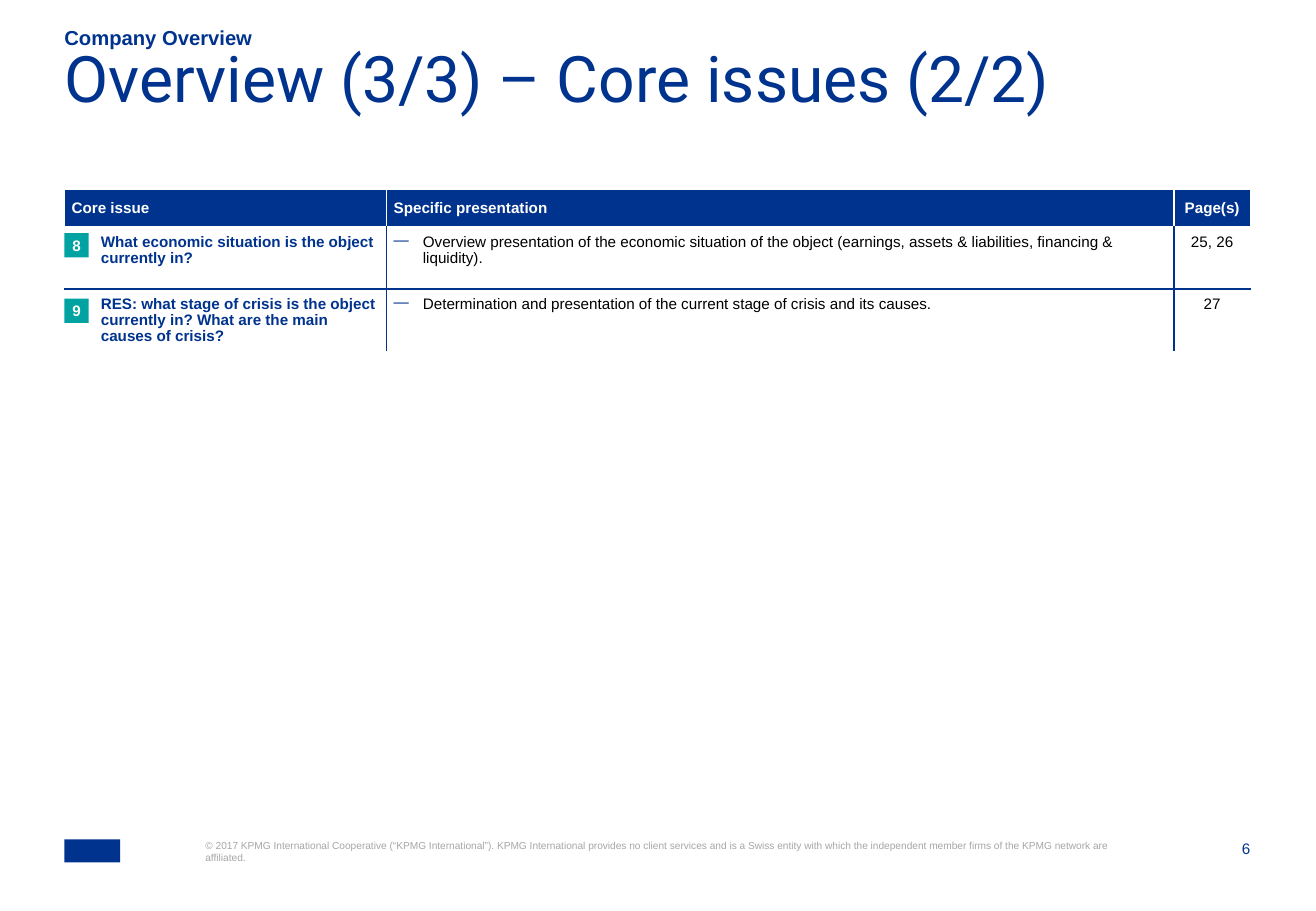
from pptx import Presentation
from pptx.dml.color import RGBColor
from pptx.enum.shapes import MSO_SHAPE as Shape
from pptx.enum.text import MSO_ANCHOR as Anchor, MSO_AUTO_SIZE as AutoSize, PP_ALIGN as Align
from pptx.oxml.ns import qn
from pptx.util import Pt
from lxml.etree import SubElement

PX = 9144
NAVY = RGBColor(0x00, 0x33, 0x8D)
TEAL = RGBColor(0x00, 0xA3, 0xA1)
GREY = RGBColor(0xA6, 0xA6, 0xA6)
WHITE = RGBColor(0xFF, 0xFF, 0xFF)
BLACK = RGBColor(0x00, 0x00, 0x00)

COLUMNS = [265, 648, 63]
ROWS = [31, 51, 47]
HEADINGS = ["Core issue", "Specific presentation", "Page(s)"]
ISSUES = [
    ("8", "What economic situation is the object currently in?",
     "Overview presentation of the economic situation of the object "
     "(earnings, assets & liabilities, financing & liquidity).", "25, 26"),
    ("9", "RES: what stage of crisis is the object currently in? "
     "What are the main causes of crisis?",
     "Determination and presentation of the current stage of crisis and its causes.", "27"),
]
BADGE_TOPS = [36, 90]


def emu(*lengths):
    return [length * PX for length in lengths]


def write(frame, text, size, color, bold=False, align=Align.LEFT,
          anchor=Anchor.TOP, face="Arial"):
    frame.word_wrap = True
    frame.auto_size = AutoSize.NONE
    frame.vertical_anchor = anchor
    frame.margin_left = frame.margin_top = frame.margin_right = frame.margin_bottom = 0
    style(frame.paragraphs[0], text, size, color, bold, align, face)


def style(paragraph, text, size, color, bold, align, face="Arial"):
    paragraph.text = text
    paragraph.alignment = align
    font = paragraph.font
    font.name, font.size, font.bold = face, Pt(size), bold
    font.color.rgb = color


def add_block(slide, box, color):
    block = slide.shapes.add_shape(Shape.RECTANGLE, *emu(*box))
    block.shadow.inherit = False
    block.fill.solid()
    block.fill.fore_color.rgb = color
    block.line.fill.background()
    return block


def add_heading(slide, left, top, width):
    kicker = slide.shapes.add_textbox(*emu(left, top, width, 19))
    write(kicker.text_frame, "Company Overview", 12, NAVY, True, anchor=Anchor.BOTTOM)
    title = slide.shapes.title
    title.left, title.top, title.width, title.height = emu(left, top + 27, width, 79)
    write(title.text_frame, "Overview (3/3) – Core issues (2/2)", 38, NAVY, face="Roboto")
    title.text_frame.paragraphs[0].line_spacing = 0.7


def set_borders(cell, colors):
    properties = cell._tc.get_or_add_tcPr()
    for side, color in zip("LRTB", colors):
        line = SubElement(properties, qn(f"a:ln{side}"), w=str(Pt(1)))
        fill = SubElement(line, qn("a:solidFill"))
        SubElement(fill, qn("a:srgbClr"), val=str(color))


def indent(paragraph, hanging):
    properties = paragraph._p.get_or_add_pPr()
    properties.set("marL", str(24 * PX))
    properties.set("indent", str(-24 * PX if hanging else 0))
    if hanging:
        bullet_color = SubElement(properties, qn("a:buClr"))
        SubElement(bullet_color, qn("a:srgbClr"), val=str(NAVY))
        SubElement(properties, qn("a:buChar"), char="—")


def fill_cell(cell, row, column, text):
    header = row == 0
    first, last = column == 0, column == len(COLUMNS) - 1
    set_borders(cell, [
        WHITE if header or first else NAVY,
        WHITE if header or last else NAVY,
        NAVY if row == 2 else WHITE,
        NAVY if row == 1 else WHITE,
    ])
    cell.fill.solid()
    cell.fill.fore_color.rgb = NAVY if header else WHITE
    cell.margin_left = cell.margin_right = cell.margin_top = cell.margin_bottom = 6 * PX
    cell.vertical_anchor = Anchor.MIDDLE if header else Anchor.TOP
    paragraph = cell.text_frame.paragraphs[0]
    paragraph.line_spacing = 0.95
    if not header:
        paragraph.space_after = Pt(2)
        if not last:
            indent(paragraph, hanging=not first)
    color = WHITE if header else NAVY if first else BLACK
    style(paragraph, text, 9, color, header or first, Align.CENTER if last else Align.LEFT)


def add_issues(slide, left, top):
    issues = slide.shapes.add_table(
        len(ROWS), len(COLUMNS), *emu(left, top, sum(COLUMNS), sum(ROWS))).table
    issues.first_row = issues.horz_banding = False
    for column, width in zip(issues.columns, COLUMNS):
        column.width = width * PX
    for row, height in zip(issues.rows, ROWS):
        row.height = height * PX
    for row, texts in enumerate([HEADINGS] + [issue[1:] for issue in ISSUES]):
        for column, text in enumerate(texts):
            fill_cell(issues.cell(row, column), row, column, text)
    for (number, *_), offset in zip(ISSUES, BADGE_TOPS):
        badge = add_block(slide, (left, top + offset, 20, 20), TEAL)
        write(badge.text_frame, number, 9, WHITE, True, Align.CENTER, Anchor.MIDDLE)


def add_footer(slide, left, top, width):
    add_block(slide, (left, top, 46, 19), NAVY)
    copyright_line = slide.shapes.add_textbox(*emu(left + 116, top, 749, 41))
    write(copyright_line.text_frame,
          "© 2017 KPMG International Cooperative (“KPMG International”). "
          "KPMG International provides no client services and is a Swiss entity with which "
          "the independent member firms of the KPMG network are affiliated.", 6, GREY)
    page_number = slide.shapes.add_textbox(*emu(left + width - 43, top, 43, 16))
    write(page_number.text_frame, "6", 9, NAVY, align=Align.RIGHT)


def main():
    deck = Presentation()
    deck.slide_width, deck.slide_height = emu(1083, 750)
    slide = deck.slides.add_slide(deck.slide_layouts[5])
    add_heading(slide, 53, 22, 976)
    add_issues(slide, 53, 156)
    add_footer(slide, 53, 691, 976)
    deck.save("out.pptx")


if __name__ == "__main__":
    main()
